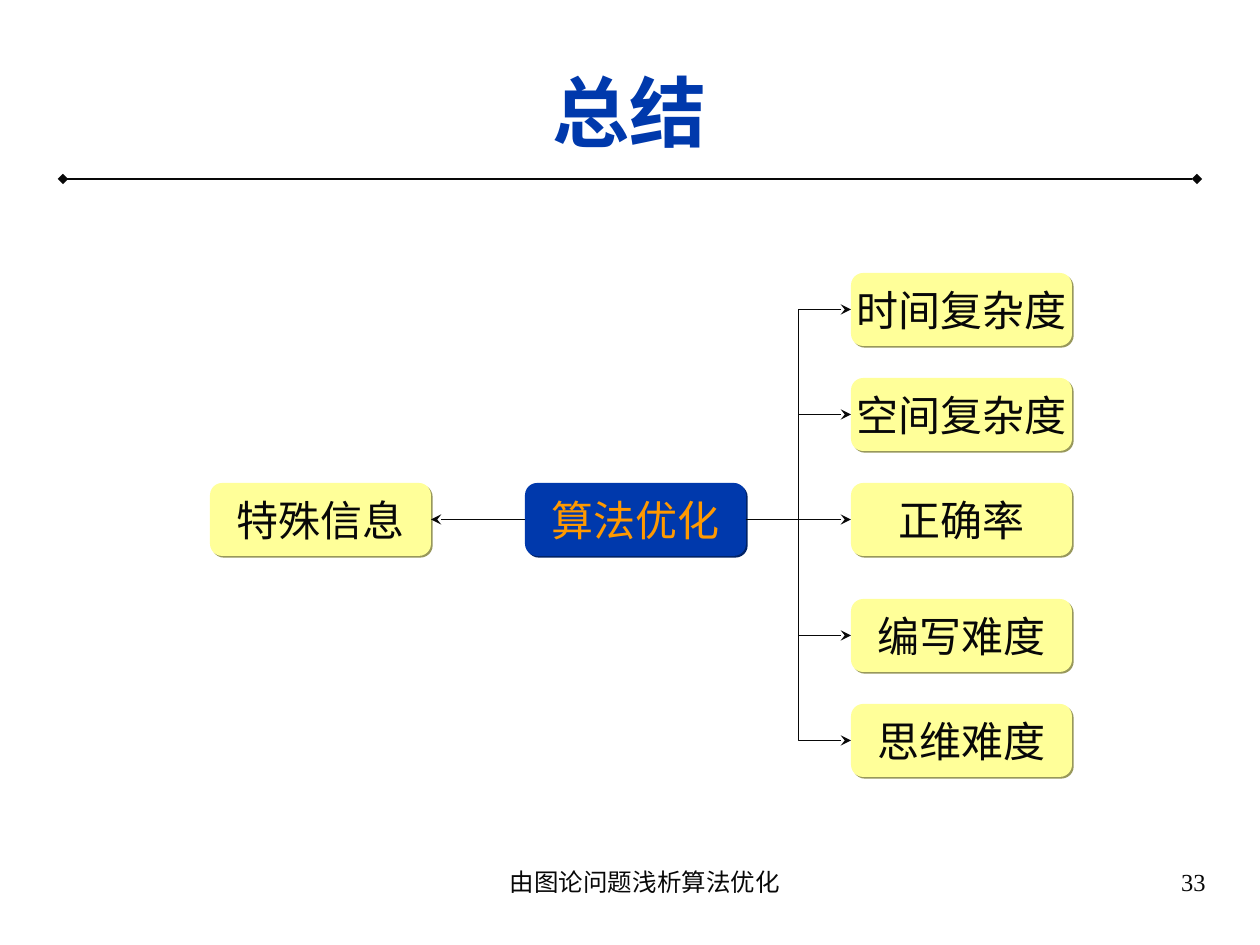
"""Build a summary slide: one core idea linked to its source and five measures."""
import pptx
import pptx.util
import pptx.dml.color
import pptx.enum.shapes
import pptx.enum.text
import pptx.oxml
import pptx.oxml.ns
from lxml import etree

TITLE = "总结"
CORE = "算法优化"
SOURCE = "特殊信息"
GOALS = [("时间复杂度", 273), ("空间复杂度", 378), ("正确率", 483),
         ("编写难度", 599), ("思维难度", 704)]
FOOTER = "由图论问题浅析算法优化"
PAGE = "33"

HEX = {"ink": "080808", "blue": "0039AC", "navy": "002266",
       "gold": "FF9900", "cream": "FFFF99", "olive": "98985B"}
PX = 914400 // 126
NODE_W, NODE_H, MID_Y = 221, 73, 483
SOURCE_X, CORE_X, GOAL_X = 210, 525, 851
ALIGN = pptx.enum.text.PP_ALIGN
ANCHOR = pptx.enum.text.MSO_ANCHOR
LINK = pptx.enum.shapes.MSO_CONNECTOR


def rgb(name):
    return pptx.dml.color.RGBColor.from_string(HEX[name])


def write(shape, text, size=24, font="Arial", color="ink", bold=False,
          align=ALIGN.CENTER, anchor=ANCHOR.MIDDLE, wrap=True):
    frame = shape.text_frame
    frame.word_wrap = wrap
    frame.vertical_anchor = anchor
    para = frame.paragraphs[0]
    para.alignment = align
    run = para.add_run()
    run.text = text
    run.font.size = pptx.util.Pt(size)
    run.font.name = font
    run.font.bold = bold
    run.font.color.rgb = rgb(color)


def add_text(slide, text, box, **style):
    write(slide.shapes.add_textbox(*(n * PX for n in box)), text, **style)


def add_node(slide, text, x, y, fill="cream", shade="olive", color="ink"):
    kind = pptx.enum.shapes.MSO_SHAPE.FLOWCHART_ALTERNATE_PROCESS
    node = slide.shapes.add_shape(kind, x * PX, y * PX, NODE_W * PX, NODE_H * PX)
    node.fill.solid()
    node.fill.fore_color.rgb = rgb(fill)
    node.line.fill.background()
    node.shadow.inherit = False
    effects = node._element.spPr.find(pptx.oxml.ns.qn("a:effectLst"))
    drop = etree.SubElement(effects, pptx.oxml.ns.qn("a:outerShdw"),
                            dist="17780", dir="2700000", algn="ctr", rotWithShape="0")
    etree.SubElement(drop, pptx.oxml.ns.qn("a:srgbClr"), val=HEX[shade])
    write(node, text, color=color, wrap=False)
    return node


def add_line(slide, kind, ends=(0, 0, 0, 0), head=None, tail="stealth"):
    line = slide.shapes.add_connector(kind, *(n * PX for n in ends))
    line.line.color.rgb = rgb("ink")
    line.line.width = pptx.util.Pt(1)
    stroke = line.line._get_or_add_ln()
    for tag, tip in (("a:headEnd", head), ("a:tailEnd", tail)):
        if tip:
            etree.SubElement(stroke, pptx.oxml.ns.qn(tag), type=tip)
    etree.SubElement(line._element.spPr, pptx.oxml.ns.qn("a:effectLst"))
    return line


def join(slide, start, start_side, end, end_side):
    kind = LINK.STRAIGHT if start.top == end.top else LINK.ELBOW
    line = add_line(slide, kind)
    line.begin_connect(start, start_side)
    line.end_connect(end, end_side)


def main():
    deck = pptx.Presentation()
    deck.slide_width, deck.slide_height = 1260 * PX, 945 * PX
    slide = deck.slides.add_slide(deck.slide_layouts[6])

    add_line(slide, LINK.STRAIGHT, (63, 179, 1197, 179), "diamond", "diamond")
    add_text(slide, TITLE, (42, 32, 1176, 157), size=44, color="blue", bold=True)

    core = add_node(slide, CORE, CORE_X, MID_Y, "blue", "navy", "gold")
    source = add_node(slide, SOURCE, SOURCE_X, MID_Y)
    join(slide, core, 1, source, 3)
    for text, y in GOALS:
        join(slide, core, 3, add_node(slide, text, GOAL_X, y), 1)

    small = dict(size=14, font="Times New Roman", anchor=ANCHOR.TOP)
    add_text(slide, FOOTER, (431, 861, 428, 65), **small)
    add_text(slide, PAGE, (903, 861, 315, 65), align=ALIGN.RIGHT, **small)
    deck.save("out.pptx")


if __name__ == "__main__":
    main()
